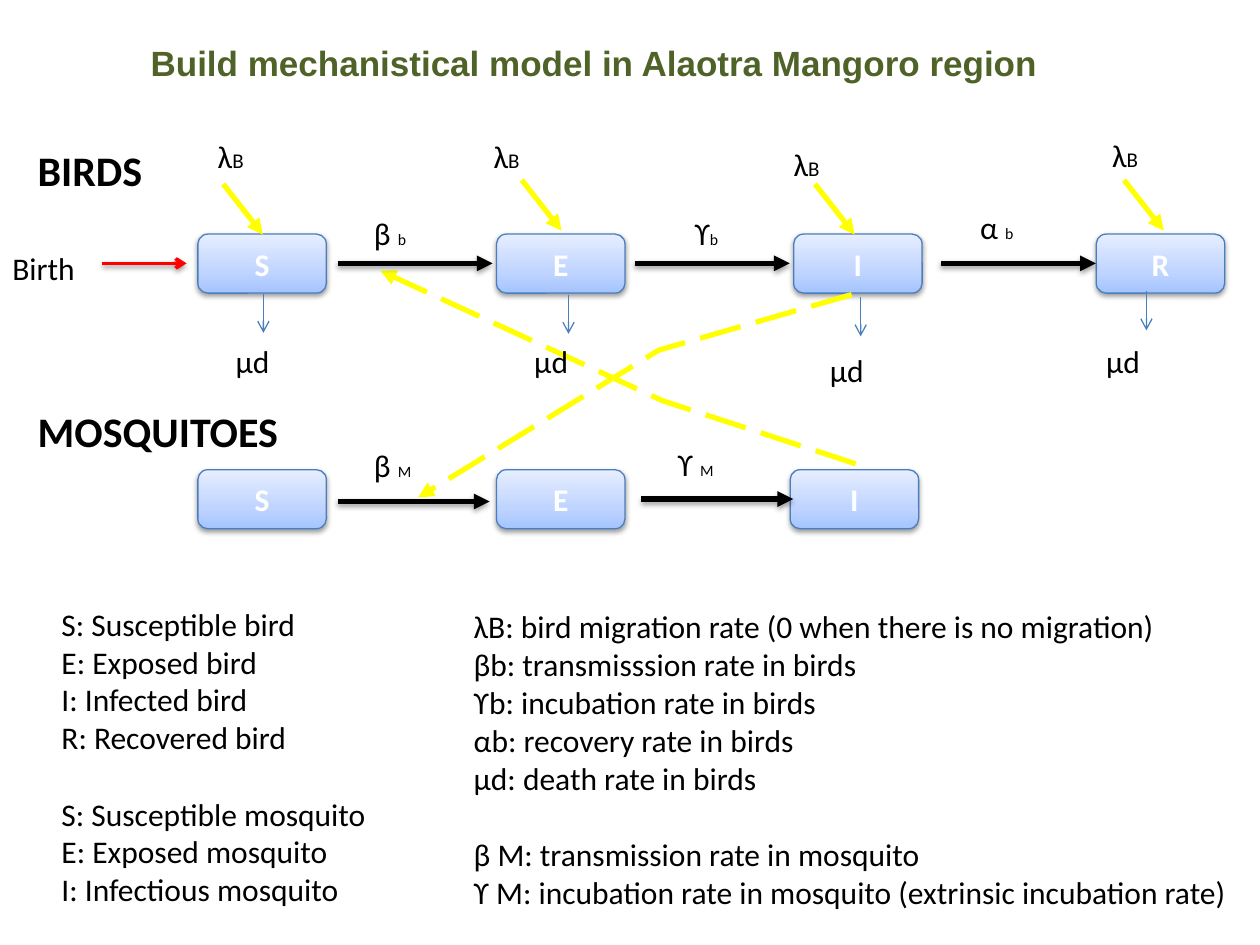
import copy
import pptx
import pptx.util
import pptx.oxml
import pptx.oxml.ns
import pptx.dml.color
import pptx.enum.dml
import pptx.enum.shapes
import pptx.enum.text
from lxml import etree

Cm, Pt = pptx.util.Cm, pptx.util.Pt
qn = pptx.oxml.ns.qn
ALIGN = pptx.enum.text.PP_ALIGN

COLORS = {"text": "000000", "title": "4F6228", "box_text": "FFFFFF", "edge": "4B7EBC",
          "flow": "000000", "infection": "FFFF00", "birth": "FF0000", "shadow": "000000"}
BOX_STOPS = [(0, "A4C4FF"), (0.35, "BFD4FF"), (1, "E6EEFF")]

# All positions are in centimetres
BOX_SIZE = (2.59, 1.19)
COMPARTMENTS = [
    (4.72, [("S", 3.99), ("E", 10.01), ("I", 16.0), ("R", 22.1)]),
    (9.47, [("S", 3.99), ("E", 10.01), ("I", 15.93)]),
]

# Arrow groups: common (dx, dy), line format, start points
ARROWS = [
    ((3.12, 0), dict(color="flow", width=3, shadow=True),
     [(6.81, 5.31), (12.8, 5.31), (18.97, 5.31)]),
    ((3.06, 0), dict(color="flow", width=3, shadow=True), [(6.81, 10.11), (12.93, 10.06)]),
    ((0.8, 1.02), dict(color="infection", width=3),
     [(4.5, 3.71), (10.52, 3.63), (16.43, 3.71), (22.66, 3.63)]),
    ((1.7, 0), dict(color="birth", width=2, head="arrow", shadow=True), [(2.06, 5.31)]),
    ((0, 0.79), dict(color="edge", width=0.75, head="arrow"),
     [(5.31, 5.92), (11.46, 5.94), (17.35, 5.99), (23.11, 5.87)]),
]
CROSS_INFECTION = [
    [(17.17, 5.94), (13.28, 7.06), (8.43, 10.03)],
    [(17.25, 9.35), (13.36, 8.08), (7.67, 5.46)],
]

# Symbol labels: symbol, subscript, subscript size, box width, places
LABELS = [
    ("β ", "b", 9, 1.7, [(7.29, 4.19)]),
    (" ϒ", "b", 9, 1.7, [(13.61, 4.19)]),
    ("α ", "b", 9, 1.7, [(19.51, 4.06)]),
    ("β ", "M", 9, 1.7, [(7.29, 8.86)]),
    ("ϒ ", "M", 9, 1.7, [(13.41, 8.84)]),
    ("λ", "B", 12, 1.24, [(4.14, 2.64), (9.7, 2.64), (15.75, 2.79), (22.17, 2.62)]),
    ("µd", "", 18, 1.6, [(4.5, 6.78), (10.52, 6.78), (16.48, 6.96), (22.05, 6.78)]),
    ("Birth", "", 18, 2.06, [(0, 4.9)]),
]
HEADINGS = [
    ("BIRDS", (0.51, 2.79, 3.0, 1.27), dict(size=24, bold=True), ALIGN.LEFT),
    ("MOSQUITOES", (0.51, 8.05, 6.1, 1.27), dict(size=24, bold=True), ALIGN.LEFT),
    ("Build mechanistical model in Alaotra Mangoro region", (1.3, 0.71, 21.36, 1.12),
     dict(size=20, bold=True, name="Arial", color="title"), ALIGN.CENTER),
]
# Legends: place, then bird lines and mosquito lines
LEGENDS = [
    ((0.99, 12.07, 7.2, 6.4),
     [["S: Susceptible bird", "E: Exposed bird", "I: Infected bird", "R: Recovered bird"],
      ["S: Susceptible mosquito", "E: Exposed mosquito", "I: Infectious mosquito"]]),
    ((9.3, 12.12, 16.0, 6.4),
     [["λB: bird migration rate (0 when there is no migration)",
       "βb: transmisssion rate in birds", "ϒb: incubation rate in birds",
       "αb: recovery rate in birds", "µd: death rate in birds"],
      ["β M: transmission rate in mosquito",
       "ϒ M: incubation rate in mosquito (extrinsic incubation rate)"]]),
]
LEGEND_GAP = 22


def rgb(key):
    """Return the colour for a palette key or hex string."""
    return pptx.dml.color.RGBColor.from_string(COLORS.get(key, key))


def add_run(p, text, color="text", **fmt):
    """Add a formatted run to a paragraph."""
    r = p.add_run()
    r.text = text
    fmt = {"name": "Calibri", "size": 18, "bold": False, **fmt}
    fmt["size"] = Pt(fmt["size"])
    for key, value in fmt.items():
        setattr(r.font, key, value)
    r.font.color.rgb = rgb(color)


def add_text(s, place):
    """Add a wrapping text box and return its text frame."""
    tf = s.shapes.add_textbox(*map(Cm, place)).text_frame
    tf.word_wrap = True
    return tf


def set_effects(sp, shadow=False):
    """Give a shape a soft shadow below it, or no shadow at all."""
    spPr = sp._element.spPr
    for old in spPr.findall(qn("a:effectLst")):
        spPr.remove(old)
    effects = etree.SubElement(spPr, qn("a:effectLst"))
    if shadow:
        outer = etree.SubElement(effects, qn("a:outerShdw"), blurRad="39370", dist="20320",
                                 dir="5400000", rotWithShape="0")
        clr = etree.SubElement(outer, qn("a:srgbClr"), val=COLORS["shadow"])
        etree.SubElement(clr, qn("a:alpha"), val="38000")


def style_arrow(sp, color, width, head="triangle", shadow=False):
    """Set line, arrowhead and shadow of an arrow."""
    sp.line.color.rgb = rgb(color)
    sp.line.width = Pt(width)
    etree.SubElement(sp.line._get_or_add_ln(), qn("a:tailEnd"), type=head)
    set_effects(sp, shadow)


def add_compartment(s, name, x, y):
    """Add one rounded gradient box with its letter."""
    sp = s.shapes.add_shape(pptx.enum.shapes.MSO_SHAPE.ROUNDED_RECTANGLE,
                            *map(Cm, (x, y, *BOX_SIZE)))
    sp.fill.gradient()
    sp.fill.gradient_angle = 90
    stops = sp._element.spPr.find(".//" + qn("a:gsLst"))
    stops.append(copy.deepcopy(stops[-1]))
    for stop, (position, color) in zip(sp.fill.gradient_stops, BOX_STOPS):
        stop.position = position
        stop.color.rgb = rgb(color)
    sp.line.color.rgb = rgb("edge")
    sp.line.width = Pt(0.75)
    set_effects(sp, shadow=True)
    tf = sp.text_frame
    tf.vertical_anchor = pptx.enum.text.MSO_ANCHOR.MIDDLE
    tf.paragraphs[0].alignment = ALIGN.CENTER
    add_run(tf.paragraphs[0], name, "box_text", bold=True)


def add_cross_arrow(s, points):
    """Add a dashed bent arrow through the points."""
    start, *rest = [tuple(map(Cm, point)) for point in points]
    builder = s.shapes.build_freeform(*start)
    builder.add_line_segments(rest, close=False)
    sp = builder.convert_to_shape()
    sp.fill.background()
    sp.line.dash_style = pptx.enum.dml.MSO_LINE.LONG_DASH
    style_arrow(sp, "infection", 3)


def add_legend(s, place, groups):
    """Add a legend whose groups are set apart by paragraph spacing."""
    tf = add_text(s, place)
    p = tf.paragraphs[0]
    for g, lines in enumerate(groups):
        for i, line in enumerate(lines):
            if g or i:
                p = tf.add_paragraph()
            if g and not i:
                p.space_before = Pt(LEGEND_GAP)
            add_run(p, line)


prs = pptx.Presentation()
prs.slide_width, prs.slide_height = Cm(25.4), Cm(19.05)
s = prs.slides.add_slide(prs.slide_layouts[6])

for y, row in COMPARTMENTS:
    for name, x in row:
        add_compartment(s, name, x, y)
for points in CROSS_INFECTION:
    add_cross_arrow(s, points)
for (dx, dy), fmt, starts in ARROWS:
    for x, y in starts:
        sp = s.shapes.add_connector(pptx.enum.shapes.MSO_CONNECTOR.STRAIGHT,
                                    *map(Cm, (x, y, x + dx, y + dy)))
        style_arrow(sp, **fmt)
for symbol, sub, sub_size, width, places in LABELS:
    for x, y in places:
        p = add_text(s, (x, y, width, 1.02)).paragraphs[0]
        add_run(p, symbol)
        if sub:
            add_run(p, sub, size=sub_size)
for place, groups in LEGENDS:
    add_legend(s, place, groups)
for text, place, fmt, align in HEADINGS:
    p = add_text(s, place).paragraphs[0]
    p.alignment = align
    add_run(p, text, **fmt)

prs.save("out.pptx")
